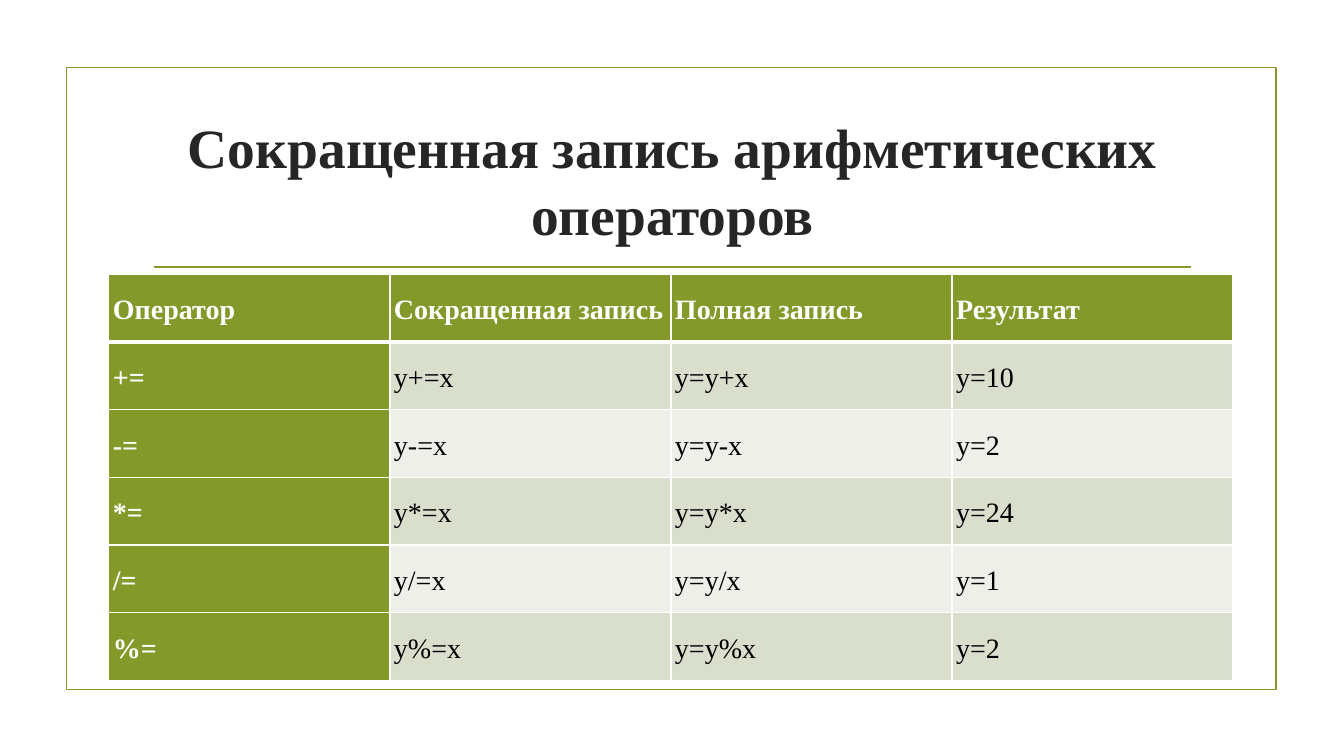
from dataclasses import dataclass

from lxml.etree import SubElement
from pptx import Presentation
from pptx.dml.color import RGBColor as RGB
from pptx.enum.shapes import MSO_CONNECTOR as CONN, MSO_SHAPE as SHAPE
from pptx.enum.text import MSO_ANCHOR as ANCHOR, PP_ALIGN as ALIGN
from pptx.oxml.ns import qn
from pptx.util import Inches, Pt


@dataclass(frozen=True)
class Theme:
    font: str = "Times New Roman"
    accent: str = "83992A"
    title: str = "262626"
    body: str = "000000"
    white: str = "FFFFFF"
    bands: tuple = ("D9DECD", "EDEFE8")
    title_size: float = 39.6
    cell_size: float = 20
    line: float = 1.25
    border: float = 1
    header_border: float = 3


T = Theme()
HEADER = ("Оператор", "Сокращенная запись", "Полная запись", "Результат")
OPERATIONS = (("+", 10), ("-", 2), ("*", 24), ("/", 1), ("%", 2))


def write(tf, text, size, color, bold=False, align=ALIGN.LEFT, spacing=1.0, after=0):
    tf.word_wrap = True
    p = tf.paragraphs[0]
    p.alignment = align
    p.line_spacing = spacing
    p.space_after = Pt(after)
    r = p.add_run()
    r.text = text
    r.font.name = T.font
    r.font.size = Pt(size)
    r.font.bold = bold
    r.font.color.rgb = RGB.from_string(color)


def set_line(shape):
    shape.line.color.rgb = RGB.from_string(T.accent)
    shape.line.width = Pt(T.line)


def set_borders(cell, **widths):
    tcPr = cell._tc.get_or_add_tcPr()
    for side in "LRTB":
        width = widths.get(side, T.border)
        ln = SubElement(tcPr, qn(f"a:ln{side}"), w=str(Pt(width)))
        fill = SubElement(ln, qn("a:solidFill"))
        SubElement(fill, qn("a:srgbClr"), val=T.white)


def add_frame(s, x, y, w, h):
    frame = s.shapes.add_shape(SHAPE.RECTANGLE, Inches(x), Inches(y), Inches(w), Inches(h))
    frame.shadow.inherit = False
    frame.fill.background()
    set_line(frame)


def add_title(s, text, x, y, w, h):
    tf = s.shapes.add_textbox(Inches(x), Inches(y), Inches(w), Inches(h)).text_frame
    tf.vertical_anchor = ANCHOR.MIDDLE
    write(tf, text, T.title_size, T.title, bold=True, align=ALIGN.CENTER)
    rule_y = Inches(y + h + 0.15)
    rule = s.shapes.add_connector(CONN.STRAIGHT, Inches(x + 0.11), rule_y,
                                  Inches(x + w - 0.11), rule_y)
    set_line(rule)
    SubElement(rule._element.spPr, qn("a:effectLst"))


def add_operator_table(s, rows, x, y, w, h):
    table = s.shapes.add_table(len(rows), len(rows[0]), Inches(x), Inches(y),
                               Inches(w), Inches(h)).table
    table.first_col = True
    for col in table.columns:
        col.width = Inches(w / len(rows[0]))
    for i, row in enumerate(rows):
        table.rows[i].height = Inches(h / len(rows))
        for j, text in enumerate(row):
            cell = table.cell(i, j)
            strong = i == 0 or j == 0
            set_borders(cell, T=T.header_border if i == 1 else T.border,
                        B=T.header_border if i == 0 else T.border)
            cell.fill.solid()
            cell.fill.fore_color.rgb = RGB.from_string(T.accent if strong else T.bands[(i - 1) % 2])
            cell.vertical_anchor = ANCHOR.MIDDLE
            cell.margin_left = cell.margin_right = Inches(0.04)
            cell.margin_top = cell.margin_bottom = Inches(0.04)
            write(cell.text_frame, text, T.cell_size, T.white if strong else T.body,
                  bold=strong, spacing=1.15, after=4)


def main():
    prs = Presentation()
    prs.slide_width, prs.slide_height = Inches(13.33), Inches(7.5)
    s = prs.slides.add_slide(prs.slide_layouts[6])
    rows = [HEADER] + [(f"{op}=", f"y{op}=x", f"y=y{op}x", f"y={result}")
                       for op, result in OPERATIONS]
    add_frame(s, 0.66, 0.67, 12, 6.17)
    add_title(s, "Сокращенная запись арифметических операторов", 1.42, 1.07, 10.5, 1.43)
    add_operator_table(s, rows, 1.08, 2.72, 11.15, 4.03)
    prs.save("out.pptx")


if __name__ == "__main__":
    main()
